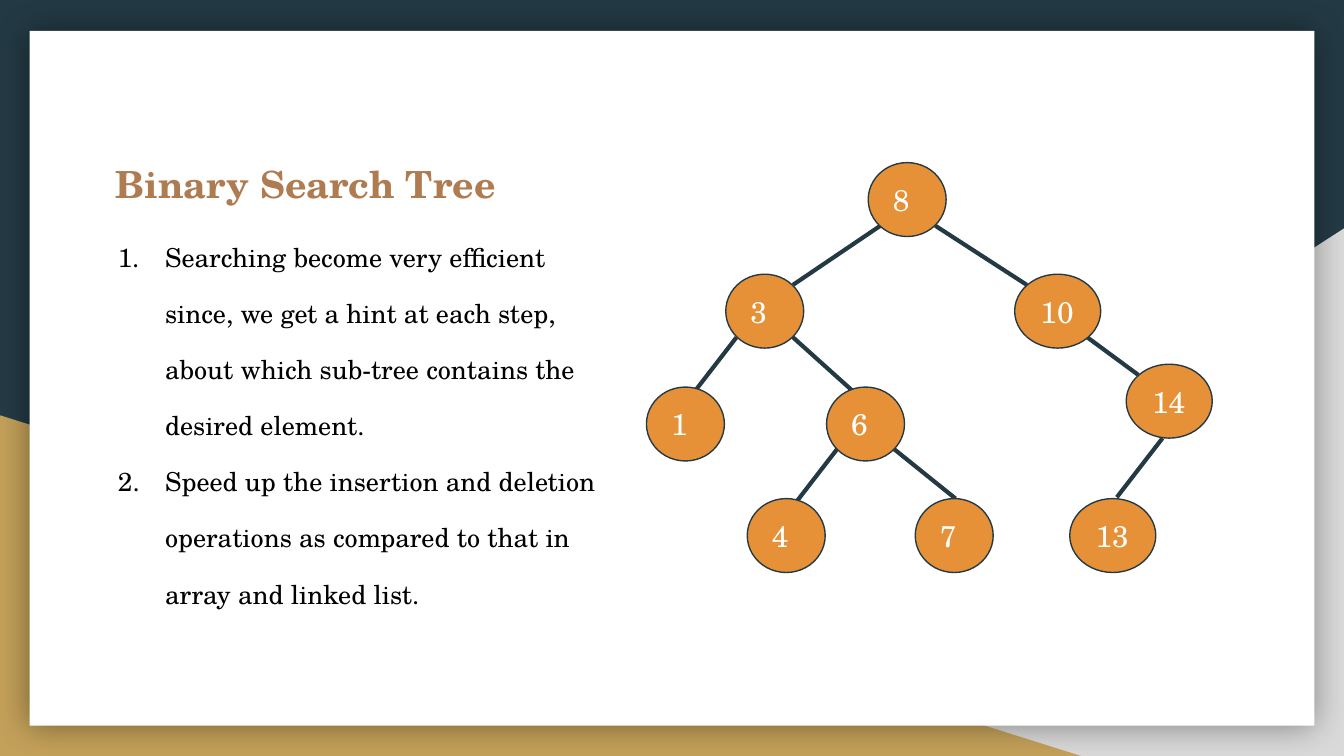
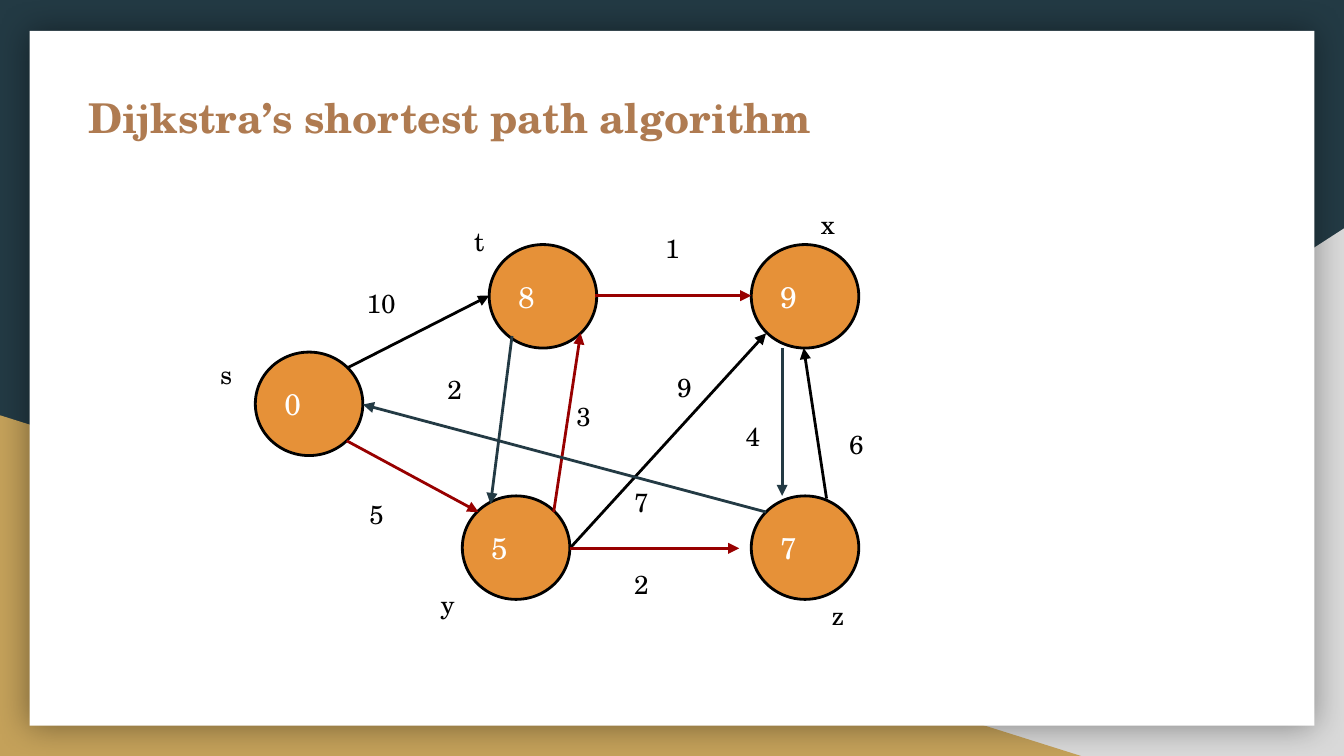
import pptx
import pptx.dml.color
import pptx.enum.shapes
import pptx.enum.text
import pptx.oxml
import pptx.oxml.ns
import pptx.util
from lxml import etree

RGBColor = pptx.dml.color.RGBColor
SHAPE = pptx.enum.shapes.MSO_SHAPE
ANCHOR = pptx.enum.text.MSO_ANCHOR
qn = pptx.oxml.ns.qn

NAVY = RGBColor(0x23, 0x3A, 0x44)
GOLD = RGBColor(0xC4, 0xA1, 0x5A)
GREY = RGBColor(0xD9, 0xD9, 0xD9)
BROWN = RGBColor(0xAF, 0x7B, 0x51)
ORANGE = RGBColor(0xE6, 0x91, 0x38)
RED = RGBColor(0x98, 0x00, 0x00)
WHITE = RGBColor(0xFF, 0xFF, 0xFF)
BLACK = RGBColor(0x00, 0x00, 0x00)
FONT = "TeX Gyre Schola"
EMU_PER_PX = 9144
PAGE_WIDTH = 1000


def px(length):
    """Turn px, at 100 to the inch, into EMU."""
    return pptx.util.Emu(length * EMU_PER_PX)


class Builder:
    """Hold the deck style and the current slide."""

    def __init__(self):
        """Start an empty 16:9 deck."""
        self.deck = pptx.Presentation()
        self.deck.slide_width = px(PAGE_WIDTH)
        self.deck.slide_height = px(PAGE_WIDTH) * 9 // 16
        self.page = None

    def new_page(self):
        """Add a slide with the coloured corners and the white card."""
        self.page = self.deck.slides.add_slide(self.deck.slide_layouts[6])
        self.page.background.fill.solid()
        self.page.background.fill.fore_color.rgb = NAVY
        corner = self.shape(SHAPE.RIGHT_TRIANGLE, (392, 170, 608, 393), GREY)
        corner.element.spPr.find(qn("a:xfrm")).set("flipH", "1")
        self.shape(SHAPE.RIGHT_TRIANGLE, (0, 309, 806, 254), GOLD)
        card = self.shape(SHAPE.RECTANGLE, (22, 23, 956, 517), WHITE)
        effects = card.element.spPr.find(qn("a:effectLst"))
        shadow = etree.SubElement(effects, qn("a:outerShdw"),
                                  blurRad=str(pptx.util.Pt(18)), algn="ctr", rotWithShape="0")
        tint = etree.SubElement(shadow, qn("a:srgbClr"), val=str(BLACK))
        etree.SubElement(tint, qn("a:alpha"), val="40000")

    def shape(self, kind, frame, fill, line=None, weight=0.75):
        """Add a filled preset shape."""
        shape = self.page.shapes.add_shape(kind, *map(px, frame))
        shape.shadow.inherit = False
        shape.fill.solid()
        shape.fill.fore_color.rgb = fill
        if line is None:
            shape.line.fill.background()
        else:
            shape.line.color.rgb = line
            shape.line.width = pptx.util.Pt(weight)
        return shape

    def fill_text(self, box, texts, size, color, bold=False, spacing=None, numbered=False):
        """Fill a shape or text box with styled paragraphs."""
        frame = box.text_frame
        frame.word_wrap = True
        frame.margin_left = frame.margin_right = px(10)
        frame.margin_top = frame.margin_bottom = px(10)
        for index, text in enumerate(texts):
            para = frame.add_paragraph() if index else frame.paragraphs[0]
            para.text = text
            para.alignment = pptx.enum.text.PP_ALIGN.LEFT
            if spacing:
                para.line_spacing = spacing
            if numbered:
                self.number(para)
            para.font.name = FONT
            para.font.size = pptx.util.Pt(size)
            para.font.bold = bold
            para.font.color.rgb = color

    def number(self, para):
        """Give a paragraph a hanging automatic number."""
        props = para._p.get_or_add_pPr()
        props.set("marL", str(px(50)))
        props.set("indent", str(px(-35)))
        tint = etree.SubElement(props, qn("a:buClr"))
        etree.SubElement(tint, qn("a:srgbClr"), val=str(BLACK))
        etree.SubElement(props, qn("a:buFont"), typeface=FONT)
        etree.SubElement(props, qn("a:buAutoNum"), type="arabicPeriod")

    def text(self, frame, texts, size=14, color=BLACK, **style):
        """Add a text box."""
        box = self.page.shapes.add_textbox(*map(px, frame))
        self.fill_text(box, texts, size, color, **style)

    def title(self, frame, text, size, spacing=None):
        """Add a slide title."""
        self.text(frame, [text], size, BROWN, bold=True, spacing=spacing)

    def node(self, frame, value, line, weight):
        """Add a round graph node with its value."""
        node = self.shape(SHAPE.OVAL, frame, ORANGE, line, weight)
        node.text_frame.vertical_anchor = ANCHOR.MIDDLE
        self.fill_text(node, [value], 16, WHITE)

    def edge(self, points, color, weight, arrow=False):
        """Add a straight edge, with an arrowhead at its end if asked."""
        kind = pptx.enum.shapes.MSO_CONNECTOR.STRAIGHT
        edge = self.page.shapes.add_connector(kind, *map(px, points))
        edge.line.color.rgb = color
        edge.line.width = pptx.util.Pt(weight)
        props = edge.element.spPr
        if arrow:
            etree.SubElement(props.find(qn("a:ln")), qn("a:tailEnd"), type="triangle")
        etree.SubElement(props, qn("a:effectLst"))


def search_tree(builder):
    """Build the binary search tree slide."""
    builder.new_page()
    builder.title((76, 86, 334, 48), "Binary Search Tree", 20, spacing=1.71)
    edges = [
        (655, 168, 590, 212), (696, 168, 764, 212),
        (548, 251, 514, 295), (590, 251, 639, 295),
        (623, 334, 589, 378), (665, 334, 711, 371),
        (809, 251, 847, 279), (865, 326, 831, 370),
    ]
    for points in edges:
        builder.edge(points, NAVY, 2.25)
    nodes = {
        "8": (646, 121), "3": (540, 204), "10": (755, 204), "1": (481, 288),
        "6": (615, 288), "14": (838, 271), "4": (556, 371), "7": (681, 371),
        "13": (796, 371),
    }
    for value, (left, top) in nodes.items():
        width = 58 if len(value) == 1 else 64
        builder.node((left, top, width, 55), value, NAVY, 0.75)
    builder.text((63, 151, 403, 291), [
        "Searching become very efficient since, we get a hint at each step, "
        "about which sub-tree contains the desired element.",
        "Speed up the insertion and deletion operations as compared to that in "
        "array and linked list.",
    ], spacing=1.79, numbered=True)


def shortest_path(builder):
    """Build the shortest path slide."""
    builder.new_page()
    builder.title((56, 59, 821, 28), "Dijkstra’s shortest path algorithm", 22)
    nodes = [("0", 190, 262), ("8", 364, 182), ("9", 559, 182), ("5", 344, 369), ("7", 559, 369)]
    for value, left, top in nodes:
        builder.node((left, top, 80, 77), value, BLACK, 1.5)
    names = [
        ("s", 154, 257, 63, 61), ("t", 343, 158, 22, 38), ("y", 318, 428, 63, 61),
        ("z", 609, 436, 63, 61), ("x", 601, 145, 63, 61),
    ]
    weights = [
        ("10", 263, 204, 52, 50), ("5", 265, 361, 42, 61), ("1", 485, 163, 42, 38),
        ("2", 462, 413, 33, 61), ("2", 323, 268, 33, 61), ("3", 419, 288, 33, 61),
        ("4", 545, 303, 42, 50), ("6", 622, 309, 42, 61), ("9", 494, 266, 33, 61),
        ("7", 462, 352, 33, 61),
    ]
    for label, *frame in names + weights:
        builder.text(frame, [label])
    arrows = {
        BLACK: [(258, 274, 364, 220), (424, 408, 570, 248), (615, 371, 598, 259)],
        RED: [(258, 328, 356, 381), (443, 220, 559, 220), (424, 408, 550, 408),
              (412, 381, 432, 248)],
        NAVY: [(381, 250, 365, 375), (582, 259, 582, 369), (570, 381, 270, 301)],
    }
    for color, lines in arrows.items():
        for points in lines:
            builder.edge(points, color, 1.5, arrow=True)


def main():
    """Build and save the deck."""
    builder = Builder()
    search_tree(builder)
    shortest_path(builder)
    builder.deck.save("out.pptx")


if __name__ == "__main__":
    main()
